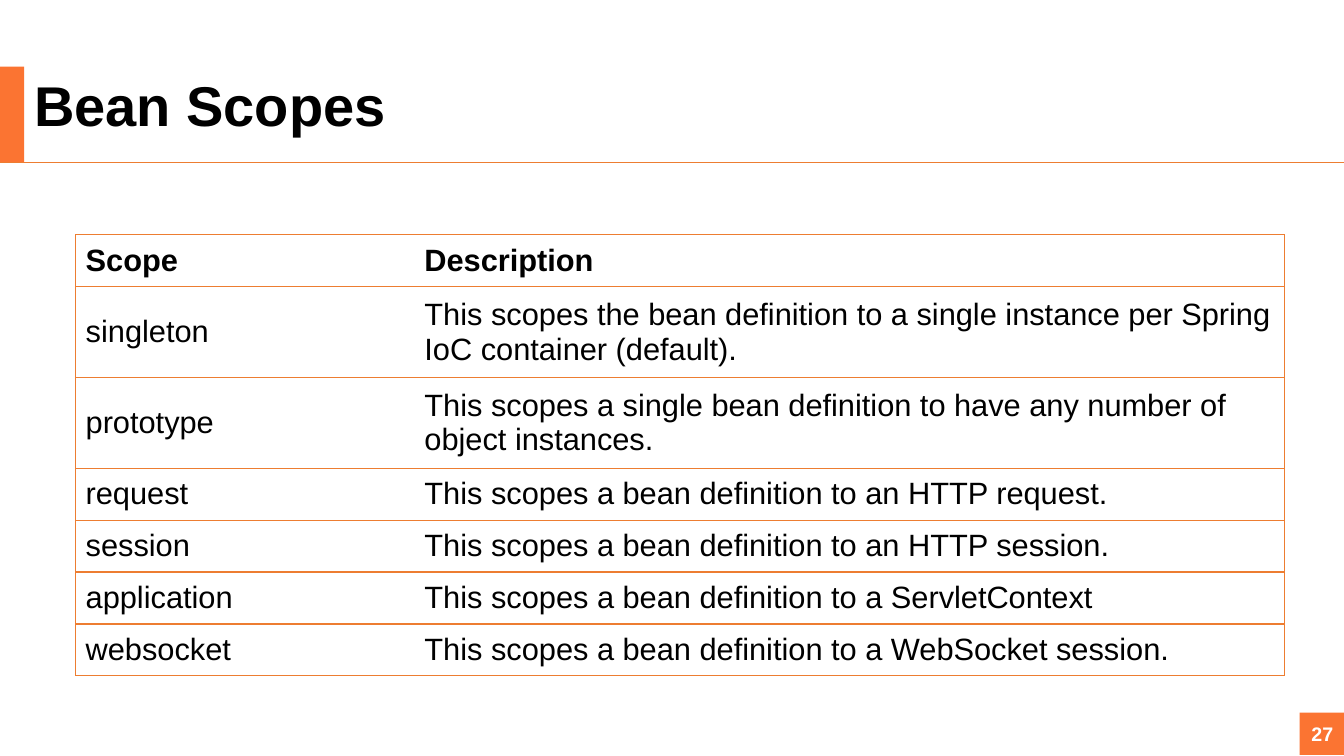
from lxml import etree
from pptx import Presentation
from pptx import util as u
from pptx.dml.color import RGBColor
from pptx.enum import shapes, text
from pptx.oxml.ns import qn

FONT = "Arial"
COLOURS = {"accent": "FB7432", "rule": "ED7D31", "text": "000000", "paper": "FFFFFF"}
COLUMN_WIDTHS = (3.36, 8.63)
SINGLE_ROW, DOUBLE_ROW = 0.515, 0.9
SCOPES = [
    ("Scope", "Description", SINGLE_ROW),
    ("singleton", "This scopes the bean definition to a single instance per Spring "
                  "IoC container (default).", DOUBLE_ROW),
    ("prototype", "This scopes a single bean definition to have any number of "
                  "object instances.", DOUBLE_ROW),
    ("request", "This scopes a bean definition to an HTTP request.", SINGLE_ROW),
    ("session", "This scopes a bean definition to an HTTP session.", SINGLE_ROW),
    ("application", "This scopes a bean definition to a ServletContext", SINGLE_ROW),
    ("websocket", "This scopes a bean definition to a WebSocket session.", SINGLE_ROW),
]


def colour(name):
    return RGBColor.from_string(COLOURS[name])


def inches(*lengths):
    return [u.Inches(length) for length in lengths]


def write(frame, content, size, bold=False, colour_name="text"):
    """Put one run in the first paragraph and return that paragraph."""
    paragraph = frame.paragraphs[0]
    run = paragraph.add_run()
    run.text = content
    run.font.name = FONT
    run.font.size = u.Pt(size)
    run.font.bold = bold
    run.font.color.rgb = colour(colour_name)
    return paragraph


def add_block(slide, left, top, width, height):
    block = slide.shapes.add_shape(
        shapes.MSO_SHAPE.RECTANGLE, *inches(left, top, width, height))
    block.shadow.inherit = False
    block.fill.solid()
    block.fill.fore_color.rgb = colour("accent")
    block.line.fill.background()
    return block


def add_rule(slide, top, width):
    rule = slide.shapes.add_connector(
        shapes.MSO_CONNECTOR.STRAIGHT, *inches(0, top, width, top))
    rule.line.color.rgb = colour("rule")
    rule.line.width = u.Pt(0.75)
    etree.SubElement(rule._element.spPr, qn("a:effectLst"))


def add_title(slide, content):
    box = slide.shapes.add_textbox(*inches(0.24, 0.72, 12.21, 0.71))
    box.text_frame.word_wrap = True
    box.text_frame.vertical_anchor = text.MSO_ANCHOR.MIDDLE
    write(box.text_frame, content, 40, bold=True).line_spacing = 0.9


def add_page_number(slide, number):
    block = add_block(slide, 12.89, 7.07, 0.45, 0.42)
    block.text_frame.word_wrap = False
    block.text_frame.vertical_anchor = text.MSO_ANCHOR.MIDDLE
    paragraph = write(block.text_frame, number, 14, bold=True, colour_name="paper")
    paragraph.alignment = text.PP_ALIGN.CENTER


def set_borders(cell, hidden_side):
    """Rule every side of the cell but the one between the columns."""
    properties = cell._tc.get_or_add_tcPr()
    for side in "LRTB":
        line = etree.SubElement(properties, qn(f"a:ln{side}"), w=str(u.Pt(1)))
        if side == hidden_side:
            etree.SubElement(line, qn("a:noFill"))
        else:
            fill = etree.SubElement(line, qn("a:solidFill"))
            etree.SubElement(fill, qn("a:srgbClr"), val=COLOURS["rule"])


def add_scope_table(slide):
    height = sum(row[-1] for row in SCOPES)
    table = slide.shapes.add_table(
        len(SCOPES), len(COLUMN_WIDTHS),
        *inches(0.75, 2.33, sum(COLUMN_WIDTHS), height)).table
    table.first_row = table.horz_banding = False
    for column, width in zip(table.columns, COLUMN_WIDTHS):
        column.width = u.Inches(width)
    for index, (*contents, row_height) in enumerate(SCOPES):
        table.rows[index].height = u.Inches(row_height)
        for cell, content, hidden_side in zip(table.rows[index].cells, contents, "RL"):
            set_borders(cell, hidden_side)
            cell.fill.solid()
            cell.fill.fore_color.rgb = colour("paper")
            cell.vertical_anchor = text.MSO_ANCHOR.MIDDLE
            write(cell.text_frame, content, 22, bold=index == 0)


def main():
    presentation = Presentation()
    presentation.slide_width, presentation.slide_height = inches(13.33, 7.5)
    slide = presentation.slides.add_slide(presentation.slide_layouts[6])
    add_block(slide, 0, 0.66, 0.24, 0.95)
    add_rule(slide, 1.61, 13.33)
    add_title(slide, "Bean Scopes")
    add_page_number(slide, "27")
    add_scope_table(slide)
    presentation.save("out.pptx")


if __name__ == "__main__":
    main()
